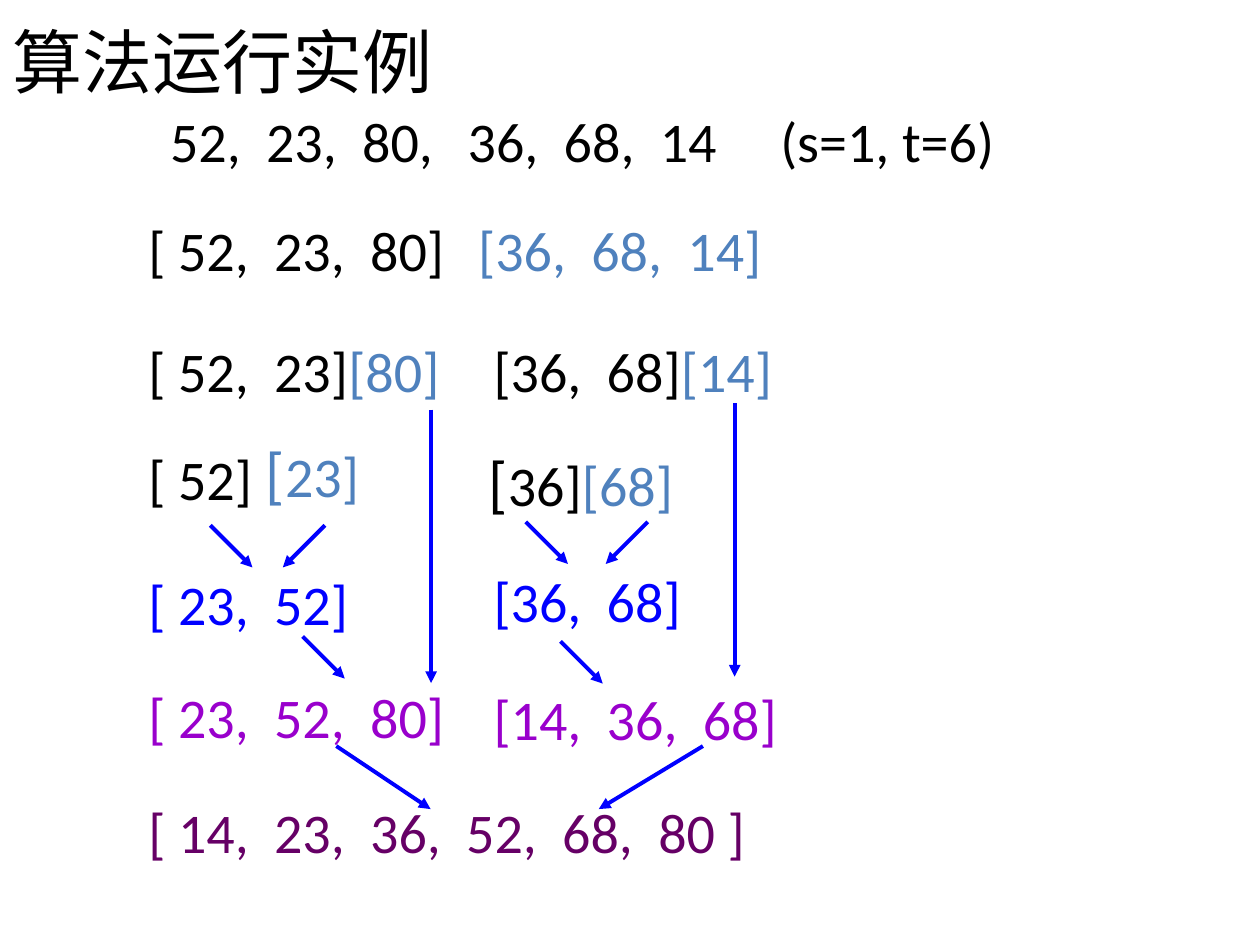
from pptx import Presentation
from pptx.dml.color import RGBColor
from pptx.enum.shapes import MSO_CONNECTOR
from pptx.enum.text import MSO_ANCHOR, MSO_AUTO_SIZE, PP_ALIGN
from pptx.oxml.ns import qn
from pptx.util import Cm, Pt
from lxml.etree import SubElement

COLORS = {
    "black": "000000",
    "split": "4F81BD",
    "blue": "0000FF",
    "violet": "9900CC",
    "plum": "660066",
}
LEFT, RIGHT = 2.74, 9.7


def add_run(p, text, color="black", size=32, font="Calibri"):
    r = p.add_run()
    r.text = text
    r.font.size = Pt(size)
    r.font.name = font
    r.font.color.rgb = RGBColor.from_string(COLORS[color])


class SlideBuilder:
    def __init__(self, prs):
        self.slide = prs.slides.add_slide(prs.slide_layouts[5])
        self.arrow_color = RGBColor.from_string(COLORS["blue"])

    def title(self, text):
        sp = self.slide.shapes.title
        sp.left, sp.top, sp.width, sp.height = Cm(0), Cm(-0.08), Cm(22.86), Cm(2.59)
        tf = sp.text_frame
        tf.vertical_anchor = MSO_ANCHOR.MIDDLE
        p = tf.paragraphs[0]
        p.alignment = PP_ALIGN.LEFT
        add_run(p, text, size=40, font="Times New Roman")

    def numbers(self, x, y, w, *runs, h=1.63, tabs=()):
        sp = self.slide.shapes.add_textbox(Cm(x), Cm(y), Cm(w), Cm(h))
        tf = sp.text_frame
        tf.word_wrap = False
        tf.auto_size = MSO_AUTO_SIZE.SHAPE_TO_FIT_TEXT
        p = tf.paragraphs[0]
        p.alignment = PP_ALIGN.LEFT
        if tabs:
            tab_list = SubElement(p._p.get_or_add_pPr(), qn("a:tabLst"))
            for pos in tabs:
                SubElement(tab_list, qn("a:tab"), pos=str(Cm(pos)), algn="l")
        for text, color, *size in runs:
            add_run(p, text, color, *size)

    def arrow(self, x, y, dx, dy):
        cn = self.slide.shapes.add_connector(
            MSO_CONNECTOR.STRAIGHT, Cm(x), Cm(y), Cm(x + dx), Cm(y + dy))
        cn.line.color.rgb = self.arrow_color
        cn.line.width = Pt(2.25)
        SubElement(cn.line._get_or_add_ln(), qn("a:tailEnd"), type="triangle")
        SubElement(cn._element.spPr, qn("a:effectLst"))


def main():
    prs = Presentation()
    prs.slide_width, prs.slide_height = Cm(25.4), Cm(19.05)
    s = SlideBuilder(prs)
    s.title("算法运行实例")

    s.numbers(3.18, 2.03, 18.42,
              ("52,  23,  80,\t36,  68,  14\t(s=1, t=6)", "black"), tabs=(6, 12.3))
    s.numbers(LEFT, 4.22, 13.44,
              ("[ 52,  23,  80]\t", "black"), ("[36,  68,  14]", "split"), tabs=(6.65,))

    s.numbers(LEFT, 6.65, 6.58, ("[ 52,  23]", "black"), ("[80]", "split"))
    s.numbers(LEFT, 8.84, 3.18, ("[ 52]", "black"))
    s.numbers(5.11, 8.64, 2.46, ("[", "split", 36), ("23]", "split"), h=1.8)
    s.numbers(LEFT, 11.35, 4.7, ("[ 23,  52]", "blue"))
    s.numbers(LEFT, 13.64, 6.68, ("[ 23,  52,  80]", "violet"))

    s.numbers(RIGHT, 6.65, 6.3, ("[36,  68]", "black"), ("[14]", "split"))
    s.numbers(9.6, 8.81, 4.34,
              ("[", "black", 36), ("36]", "black"), ("[68]", "split"), h=1.8)
    s.numbers(RIGHT, 11.3, 4.39, ("[36,  68]", "blue"))
    s.numbers(RIGHT, 13.67, 6.4, ("[14,  36,  68]", "violet"))

    s.numbers(LEFT, 15.95, 12.95, ("[ 14,  23,  36,  52,  68,  80 ]", "plum"))

    step, drop = 0.85, 5.51
    for x, y, dx, dy in (
        (4.24, 10.59, step, step),
        (6.55, 10.59, -step, step),
        (6.1, 12.83, step, step),
        (8.69, 8.26, 0, drop),
        (10.6, 10.52, step, step),
        (13.06, 10.52, -step, step),
        (11.3, 12.93, step, step),
        (14.81, 8.13, 0, drop),
        (6.78, 15.04, 1.9, 1.27),
        (14.17, 15.04, -2.1, 1.27),
    ):
        s.arrow(x, y, dx, dy)

    prs.save("out.pptx")


if __name__ == "__main__":
    main()
